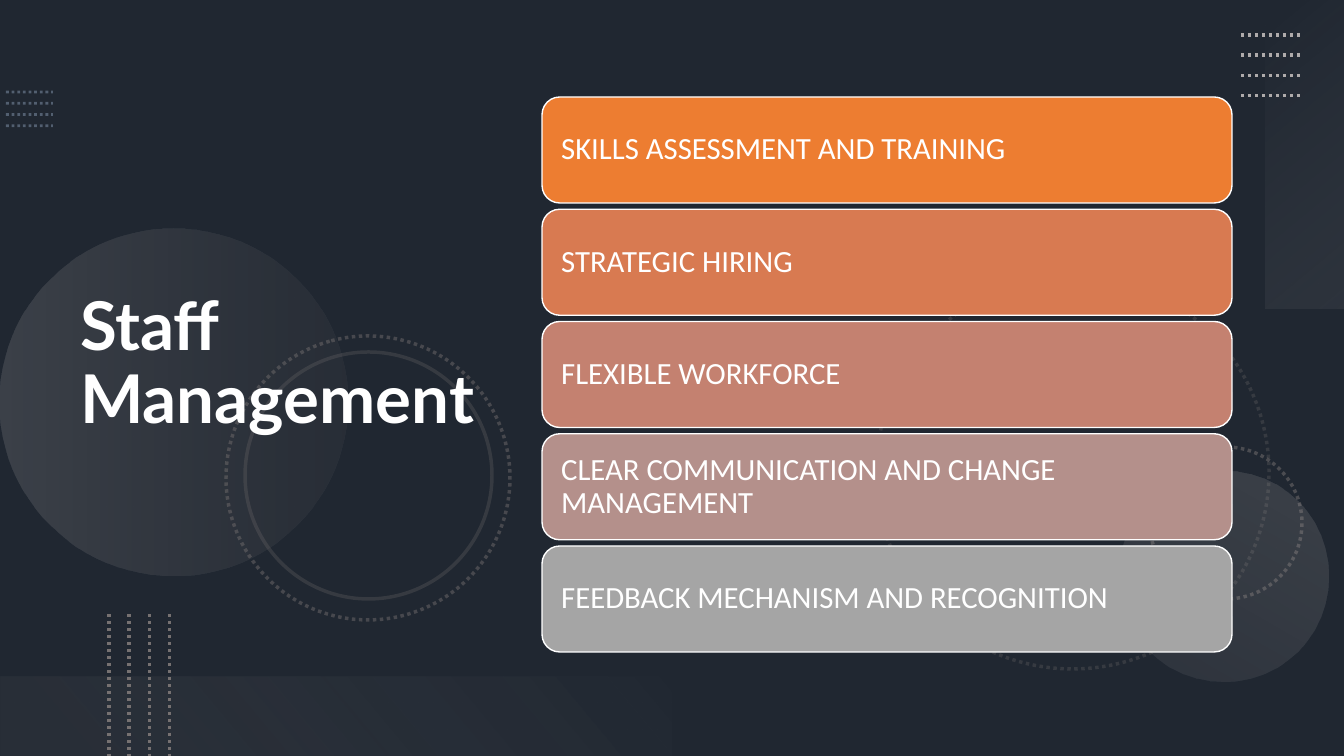
import pptx
import pptx.util
import pptx.dml.color
import pptx.enum.dml
import pptx.enum.shapes
import pptx.enum.text
import pptx.oxml.ns
from lxml import etree

PX = 914400 / 100.8
SLIDE_W, SLIDE_H = 1344, 756
SHAPE = pptx.enum.shapes.MSO_SHAPE
WHITE = "FFFFFF"

TITLE = "Staff Management"
TITLE_BOX = (70, 54, 462, 622)

CARDS = [
    ("SKILLS ASSESSMENT AND TRAINING", "ED7D31"),
    ("STRATEGIC HIRING", "D87A51"),
    ("FLEXIBLE WORKFORCE", "C48170"),
    ("CLEAR COMMUNICATION AND CHANGE MANAGEMENT", "B4908B"),
    ("FEEDBACK MECHANISM AND RECOGNITION", "A5A5A5"),
]
CARD_X, CARD_W, CARD_H = 542, 690, 106
CARDS_TOP, CARDS_BOTTOM = 97, 652

# left, top, diameter, opacity, dotted
BACK_RINGS = [(876, 276, 393, 25, True), (1150, 447, 152, 50, True)]
FRONT_RINGS = [(226, 336, 284, 45, True), (245, 352, 247, 25, False)]

# box, rotation, angle, stops of (position, colour, opacity)
DISCS = [
    ((0, 229, 347, 347), 270, 90, [(0, "AFABAB", 20), (100, "767171", 10)]),
    ((1119, 471, 210, 210), 210, 90, [(0, "AFABAB", 10), (100, "AFABAB", 20)]),
]
CORNER_PANEL = ((1151, 115, 308, 79), 270, 140,
                [(0, "F5F5F5", 0), (100, "AFABAB", 10)])
FOOTER_PANEL = ((0, 677, 672, 79), 180, 140,
                [(10, "767171", 10), (100, "F1F0F0", 0)])

# first line (x1, y1, x2, y2), step (dx, dy), colour, width, opacity
LEFT_DOTS = ((6, 92, 53, 92), (0, 11.25), "8497B0", 2, 50)
CORNER_DOTS = ((1241, 35, 1301, 35), (0, 20.25), "AFABAB", 2.5, 100)
FOOTER_DOTS = ((109, 614, 109, 756), (20.25, 0), "767171", 2.5, 100)
DOT_LINES = 4


def px(n):
    return pptx.util.Emu(round(n * PX))


def rgb(color):
    return pptx.dml.color.RGBColor.from_string(color)


def sub(parent, tag, **attrs):
    return etree.SubElement(parent, pptx.oxml.ns.qn(tag), attrs)


def set_opacity(solid, percent):
    sub(solid[0], "a:alpha", val=str(percent * 1000))


def set_line(line, color, width, opacity=100, dotted=False):
    line.color.rgb = rgb(color)
    line.width = pptx.util.Pt(width)
    if dotted:
        line.dash_style = pptx.enum.dml.MSO_LINE.ROUND_DOT
    if opacity < 100:
        set_opacity(line._get_or_add_ln().find(pptx.oxml.ns.qn("a:solidFill")), opacity)


def add_shape(slide, kind, box, color=None, rotation=0):
    """Add a shape without line or shadow; no colour means no fill."""
    sp = slide.shapes.add_shape(kind, *map(px, box))
    sp.shadow.inherit = False
    sp.rotation = rotation
    sp.line.fill.background()
    if color:
        sp.fill.solid()
        sp.fill.fore_color.rgb = rgb(color)
    else:
        sp.fill.background()
    return sp


def add_gradient(slide, kind, box, rotation, angle, stops):
    sp = add_shape(slide, kind, box, rotation=rotation)
    spPr = sp._element.spPr
    grad = etree.Element(pptx.oxml.ns.qn("a:gradFill"), rotWithShape="1")
    gs_list = sub(grad, "a:gsLst")
    for position, color, opacity in stops:
        gs = sub(gs_list, "a:gs", pos=str(position * 1000))
        sub(gs, "a:srgbClr", val=color)
        set_opacity(gs, opacity)
    sub(grad, "a:lin", ang=str(angle * 60000), scaled="0")
    spPr.replace(spPr.find(pptx.oxml.ns.qn("a:noFill")), grad)


def add_rings(slide, rings):
    for x, y, size, opacity, dotted in rings:
        sp = add_shape(slide, SHAPE.OVAL, (x, y, size, size), rotation=75)
        set_line(sp.line, "767171", 2.5, opacity, dotted)


def add_dots(slide, first, step, color, width, opacity):
    for i in range(DOT_LINES):
        dx, dy = step[0] * i, step[1] * i
        x1, y1, x2, y2 = first
        line = slide.shapes.add_connector(
            pptx.enum.shapes.MSO_CONNECTOR.STRAIGHT,
            px(x1 + dx), px(y1 + dy), px(x2 + dx), px(y2 + dy))
        set_line(line.line, color, width, opacity, True)
        sub(line._element.spPr, "a:effectLst")


def format_text(tf, font, size, bold=False):
    tf.word_wrap = True
    tf.vertical_anchor = pptx.enum.text.MSO_ANCHOR.MIDDLE
    p = tf.paragraphs[0]
    p.alignment = pptx.enum.text.PP_ALIGN.LEFT
    p.line_spacing = 0.9
    r = p.runs[0]
    r.font.name = font
    r.font.size = pptx.util.Pt(size)
    r.font.bold = bold
    r.font.color.rgb = rgb(WHITE)


def add_cards(slide):
    pitch = (CARDS_BOTTOM - CARDS_TOP - CARD_H) / (len(CARDS) - 1)
    for i, (text, color) in enumerate(CARDS):
        box = (CARD_X, CARDS_TOP + i * pitch, CARD_W, CARD_H)
        sp = add_shape(slide, SHAPE.ROUNDED_RECTANGLE, box, color)
        set_line(sp.line, WHITE, 1)
        tf = sp.text_frame
        tf.text = text
        tf.margin_left = tf.margin_right = px(14)
        format_text(tf, "Calibri", 22)


def add_title(slide):
    title = slide.shapes.title
    title.left, title.top, title.width, title.height = map(px, TITLE_BOX)
    title.text_frame.text = TITLE
    format_text(title.text_frame, "Lato", 48, True)
    slide.shapes._spTree.append(title._element)


def main():
    prs = pptx.Presentation()
    prs.slide_width, prs.slide_height = px(SLIDE_W), px(SLIDE_H)
    slide = prs.slides.add_slide(prs.slide_layouts[5])
    slide.background.fill.solid()
    slide.background.fill.fore_color.rgb = rgb("44546A")

    shade = add_shape(slide, SHAPE.RECTANGLE, (0, 0, SLIDE_W, SLIDE_H), "000000")
    set_opacity(shade._element.spPr.find(pptx.oxml.ns.qn("a:solidFill")), 53)
    add_dots(slide, *LEFT_DOTS)
    add_rings(slide, BACK_RINGS)
    for disc in DISCS:
        add_gradient(slide, SHAPE.OVAL, *disc)
    add_rings(slide, FRONT_RINGS)
    add_gradient(slide, SHAPE.RECTANGLE, *CORNER_PANEL)
    add_dots(slide, *CORNER_DOTS)
    add_gradient(slide, SHAPE.RECTANGLE, *FOOTER_PANEL)
    add_dots(slide, *FOOTER_DOTS)
    add_title(slide)
    add_cards(slide)
    prs.save("out.pptx")


if __name__ == "__main__":
    main()
